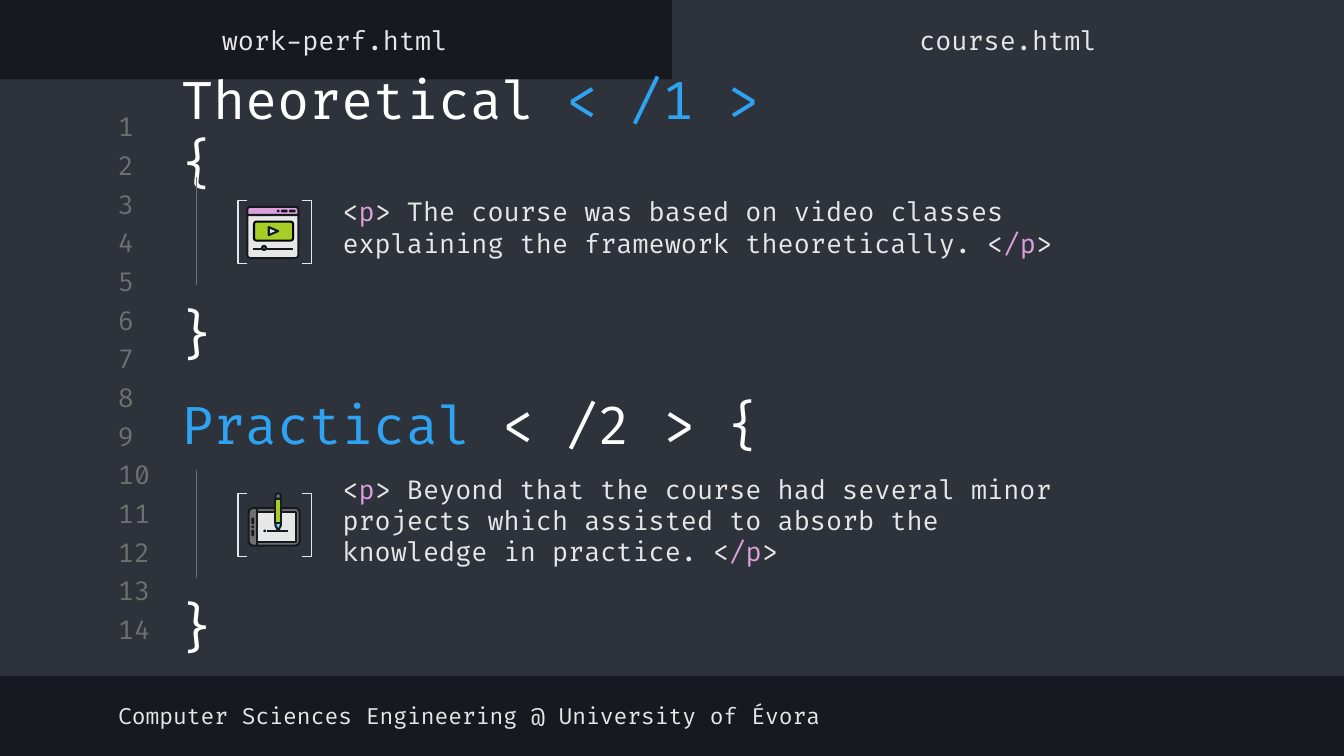
import lxml.etree
import pptx
import pptx.dml.color
import pptx.enum.shapes
import pptx.enum.text
import pptx.oxml.ns
import pptx.util

Inches = pptx.util.Inches
SHAPES = pptx.enum.shapes.MSO_SHAPE
ALIGN = pptx.enum.text.PP_ALIGN
ANCHOR = pptx.enum.text.MSO_ANCHOR

COLORS = {
    "dark": "16191F",
    "panel": "2E323B",
    "light": "E7E7E7",
    "white": "FFFFFF",
    "gray": "707070",
    "blue": "2EA3F2",
    "pink": "DBA0DB",
    "green": "A5CF27",
    "cyan": "72D9F0",
    "black": "000000",
}


def color(name):
    return pptx.dml.color.RGBColor.from_string(COLORS[name])


class CodeSlide:
    font = "Fira Code"
    icon_line = 1.1

    def __init__(self, presentation):
        self.slide = presentation.slides.add_slide(presentation.slide_layouts[6])
        self.slide.background.fill.solid()
        self.slide.background.fill.fore_color.rgb = color("dark")

    def text(self, box, runs, size=14, align=ALIGN.LEFT, anchor=ANCHOR.MIDDLE):
        shape = self.slide.shapes.add_textbox(*map(Inches, box))
        frame = shape.text_frame
        frame.word_wrap = True
        frame.vertical_anchor = anchor
        frame.margin_left = frame.margin_right = Inches(0.1)
        frame.margin_top = frame.margin_bottom = Inches(0.1)
        paragraph = frame.paragraphs[0]
        paragraph.alignment = align
        for words, ink in runs:
            run = paragraph.add_run()
            run.text = words
            run.font.name = self.font
            run.font.size = pptx.util.Pt(size)
            run.font.color.rgb = color(ink)

    def paint(self, shape, fill, line, width):
        shape.shadow.inherit = False
        if fill:
            shape.fill.solid()
            shape.fill.fore_color.rgb = color(fill)
        else:
            shape.fill.background()
        if line:
            shape.line.color.rgb = color(line)
            shape.line.width = pptx.util.Pt(width)
        else:
            shape.line.fill.background()

    def shape(self, kind, box, fill=None, line=None, width=icon_line, adjust=None):
        shape = self.slide.shapes.add_shape(kind, *map(Inches, box))
        if adjust is not None:
            shape.adjustments[0] = adjust
        self.paint(shape, fill, line, width)

    def polygon(self, points, fill, line):
        corners = [(Inches(x), Inches(y)) for x, y in points]
        builder = self.slide.shapes.build_freeform(*corners[0])
        builder.add_line_segments(corners[1:], close=True)
        self.paint(builder.convert_to_shape(), fill, line, self.icon_line)

    def line(self, start, end, ink, width=icon_line):
        connector = self.slide.shapes.add_connector(
            pptx.enum.shapes.MSO_CONNECTOR.STRAIGHT, *map(Inches, start + end))
        connector.line.color.rgb = color(ink)
        connector.line.width = pptx.util.Pt(width)
        properties = connector._element.spPr
        lxml.etree.SubElement(properties, pptx.oxml.ns.qn("a:effectLst"))

    def html_paragraph(self, top, words):
        self.text((2.45, top, 5.62, 0.86), [
            ("<", "light"), ("p", "pink"), (f"> {words} <", "light"),
            ("/p", "pink"), (">", "light")])

    def brackets(self, top):
        for kind, left in ((SHAPES.RIGHT_BRACKET, 2.25), (SHAPES.LEFT_BRACKET, 1.77)):
            self.shape(kind, (left, top, 0.07, 0.47), line="light", width=0.75, adjust=0)

    def code_block(self, top):
        self.line((1.46, top), (1.46, top + 0.8), "gray", 0.75)
        self.text((1.19, top + 0.82, 0.55, 0.67), [("}", "white")], 28,
                  ALIGN.CENTER, ANCHOR.TOP)

    def video_icon(self):
        self.shape(SHAPES.ROUNDED_RECTANGLE, (1.84, 1.54, 0.38, 0.38), "light", "dark", adjust=0.06)
        self.shape(SHAPES.ROUND_2_SAME_RECTANGLE, (1.84, 1.54, 0.38, 0.06), "pink", "dark", adjust=0.33)
        self.shape(SHAPES.ROUNDED_RECTANGLE, (1.89, 1.65, 0.29, 0.14), "green", "black", adjust=0.12)
        self.polygon([(2, 1.69), (2, 1.75), (2.07, 1.72)], "light", "dark")
        self.line((1.88, 1.85), (2.18, 1.85), "dark")
        self.shape(SHAPES.OVAL, (1.95, 1.83, 0.03, 0.03), "gray", "dark")
        for left, width in ((2.06, 0.02), (2.09, 0.05), (2.15, 0.05)):
            self.shape(SHAPES.ROUNDED_RECTANGLE, (left, 1.56, width, 0.02), "dark", adjust=0.5)

    def tablet_icon(self):
        self.shape(SHAPES.ROUNDED_RECTANGLE, (1.85, 3.78, 0.38, 0.28), "gray", "dark", adjust=0.12)
        self.line((1.91, 3.78), (1.91, 4.06), "dark")
        self.shape(SHAPES.RECTANGLE, (1.91, 3.81, 0.29, 0.22), "light", "dark")
        self.line((1.99, 3.95), (2.14, 3.95), "dark")
        self.polygon([(2.05, 3.89), (2.05, 3.91), (2.07, 3.95), (2.09, 3.91), (2.09, 3.89)],
                     "cyan", "dark")
        self.shape(SHAPES.RECTANGLE, (2.05, 3.71, 0.04, 0.18), "green", "dark")
        self.shape(SHAPES.ROUND_2_SAME_RECTANGLE, (2.05, 3.67, 0.04, 0.04), "gray", "dark", adjust=0.5)
        for left, top, height in ((1.96, 3.94, 0.02), (1.87, 3.91, 0.02),
                                  (1.87, 3.85, 0.05), (1.87, 3.94, 0.05)):
            self.shape(SHAPES.ROUNDED_RECTANGLE, (left, top, 0.02, height), "dark", adjust=0.5)


def main():
    presentation = pptx.Presentation()
    presentation.slide_width = Inches(10)
    presentation.slide_height = Inches(10 * 9 / 16)
    page = CodeSlide(presentation)

    page.text((0.78, 5.13, 6.19, 0.39),
              [("Computer Sciences Engineering @ University of Évora", "light")], 12)
    page.shape(SHAPES.RECTANGLE, (0, 0.59, 10, 4.44), "panel")
    page.shape(SHAPES.RECTANGLE, (5, 0, 5, 0.65), "panel")
    for index in range(14):
        page.text((0.78, 0.82 + index * 3.74 / 13, 0.47, 0.24), [(str(index + 1), "gray")])

    page.html_paragraph(
        1.26, "The course was based on video classes explaining the framework theoretically.")
    page.html_paragraph(
        3.44, "Beyond that the course had several minor projects which assisted "
              "to absorb the knowledge in practice.")
    page.text((1.25, 2.86, 6.17, 0.58),
              [("Practical ", "blue"), ("< /2 > {", "white")], 28)
    page.text((1.25, 0.68, 4.94, 0.58),
              [("Theoretical ", "white"), ("< /1 > ", "blue"), ("{", "white")], 28)
    for left, name in ((-0.01, "work-perf.html"), (5, "course.html")):
        page.text((left, 0.1, 5, 0.39), [(name, "light")], align=ALIGN.CENTER)

    for top in (1.32, 3.5):
        page.brackets(top + 0.17)
        page.code_block(top)
    page.video_icon()
    page.tablet_icon()
    presentation.save("out.pptx")


if __name__ == "__main__":
    main()
